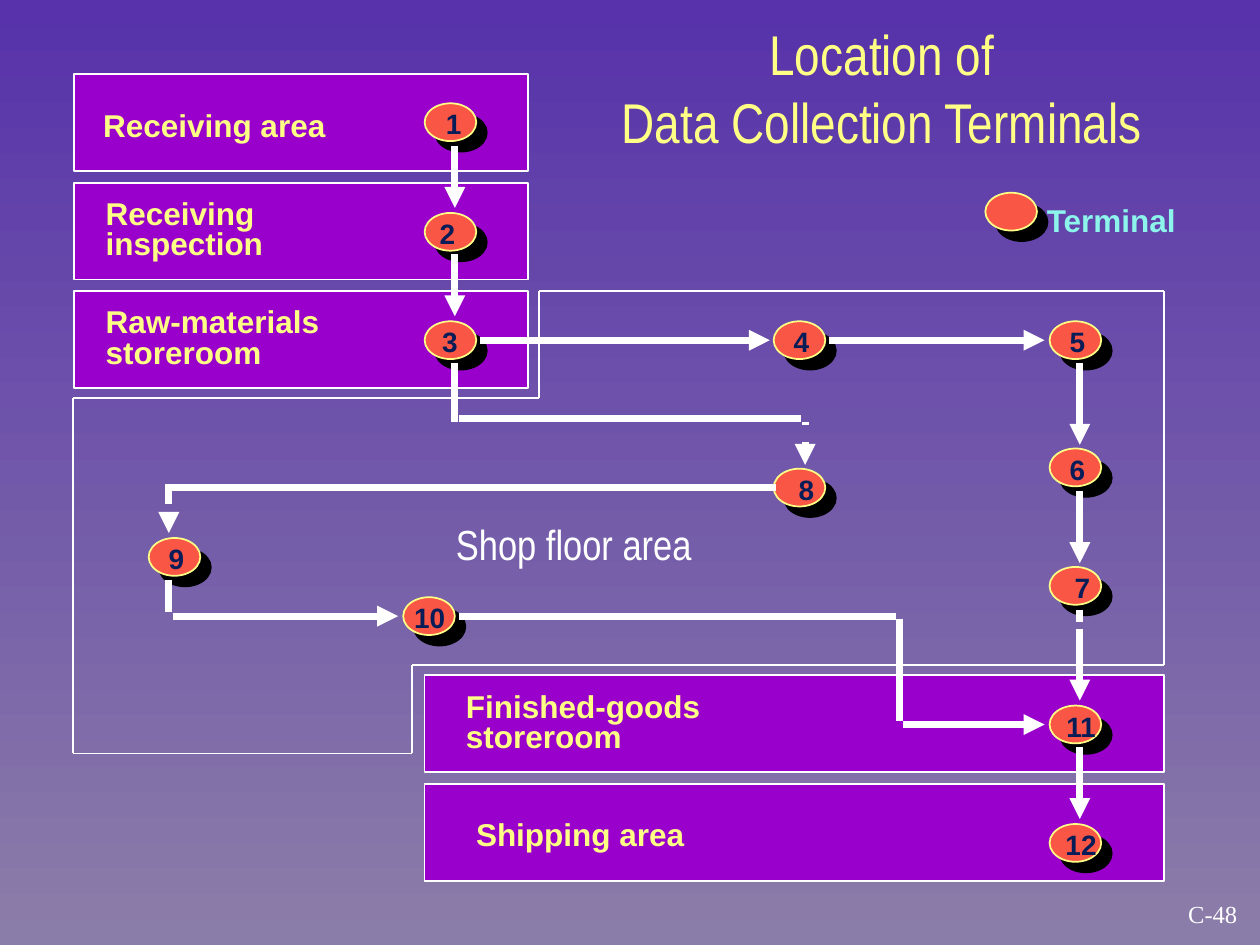
from dataclasses import dataclass
from itertools import pairwise

from lxml.etree import SubElement
from pptx import Presentation
from pptx.dml.color import RGBColor
from pptx.enum.shapes import MSO_CONNECTOR, MSO_SHAPE
from pptx.enum.text import MSO_ANCHOR, PP_ALIGN
from pptx.oxml.ns import qn
from pptx.util import Inches, Pt

WHITE, YELLOW, PURPLE, RED = "FFFFFF", "FFFF85", "9900CC", "F95645"
AREA_HEIGHT = 0.77
LABEL_PITCH = 0.24
TERMINAL_WIDTH, TERMINAL_HEIGHT = 0.41, 0.3
NUMBER_WIDTH = 0.6

HEADING = {"name": "Arial", "size": Pt(18), "bold": True}
NUMBER = {"name": "Arial", "size": Pt(16), "bold": True}
TITLE = {"name": "Arial Narrow", "size": Pt(32), "bold": False}
FLOOR = {"name": "Arial Narrow", "size": Pt(24), "bold": False}
PAGE = {"name": "Times New Roman", "size": Pt(14), "bold": False}


@dataclass
class Area:
    left: float
    top: float
    width: float
    lines: list[str]
    label_left: float
    label_top: float


@dataclass
class Terminal:
    number: str
    left: float
    top: float
    number_center: float


@dataclass
class Leg:
    start: tuple[float, float]
    end: tuple[float, float]
    arrow: bool = False


AREAS = [
    Area(0.59, 0.59, 3.6, ["Receiving area"], 0.72, 0.79),
    Area(0.59, 1.45, 3.6, ["Receiving", "inspection"], 0.74, 1.49),
    Area(0.59, 2.31, 3.6, ["Raw-materials", "storeroom"], 0.74, 2.35),
    Area(3.37, 5.36, 5.87, ["Finished-goods", "storeroom"], 3.6, 5.4),
    Area(3.37, 6.22, 5.87, ["Shipping area"], 3.68, 6.42),
]

FLOOR_CORNERS = [
    (0.58, 3.16), (4.28, 3.16), (4.28, 2.31), (9.24, 2.31),
    (9.24, 5.28), (3.27, 5.28), (3.27, 5.98), (0.58, 5.98),
]

TERMINALS = [
    Terminal("1", 3.37, 0.82, 3.6),
    Terminal("2", 3.37, 1.69, 3.55),
    Terminal("3", 3.37, 2.55, 3.57),
    Terminal("4", 6.14, 2.55, 6.36),
    Terminal("5", 8.33, 2.55, 8.55),
    Terminal("6", 8.33, 3.56, 8.55),
    Terminal("7", 8.33, 4.5, 8.59),
    Terminal("8", 6.14, 3.72, 6.4),
    Terminal("9", 1.18, 4.27, 1.4),
    Terminal("10", 3.2, 4.74, 3.41),
    Terminal("11", 8.33, 5.6, 8.58),
    Terminal("12", 8.33, 6.54, 8.58),
]

LEGS = [
    # Receiving and raw materials
    Leg((3.61, 1.16), (3.61, 1.65), True),
    Leg((3.61, 2.02), (3.61, 2.51), True),
    Leg((3.81, 2.7), (6.11, 2.7), True),
    Leg((6.58, 2.7), (8.29, 2.7), True),
    # Right-hand column
    Leg((8.57, 2.88), (8.57, 3.53), True),
    Leg((8.57, 3.9), (8.57, 4.47), True),
    Leg((8.57, 4.84), (8.57, 4.94)),
    Leg((8.57, 4.99), (8.57, 5.56), True),
    Leg((8.57, 5.93), (8.57, 6.5), True),
    # Terminal 3 to 8
    Leg((3.61, 2.88), (3.61, 3.35)),
    Leg((3.64, 3.32), (6.36, 3.32)),
    Leg((6.39, 3.35), (6.39, 3.37)),
    Leg((6.39, 3.51), (6.39, 3.69), True),
    # Terminal 8 to 9
    Leg((6.16, 3.87), (1.31, 3.87)),
    Leg((1.34, 3.9), (1.34, 4.0)),
    Leg((1.34, 4.13), (1.34, 4.23), True),
    # Terminal 9 to 10
    Leg((1.34, 4.6), (1.34, 4.86)),
    Leg((1.37, 4.89), (3.16, 4.89), True),
    # Terminal 10 to 11
    Leg((3.64, 4.89), (7.11, 4.89)),
    Leg((7.14, 4.91), (7.14, 5.72)),
    Leg((7.17, 5.75), (8.29, 5.75), True),
]


def color(value: str) -> RGBColor:
    return RGBColor.from_string(value)


def add_box(slide, kind, left: float, top: float, width: float, height: float,
            fill: str, line: str):
    shape = slide.shapes.add_shape(
        kind, Inches(left), Inches(top), Inches(width), Inches(height))
    shape.shadow.inherit = False
    shape.fill.solid()
    shape.fill.fore_color.rgb = color(fill)
    shape.line.color.rgb = color(line)
    shape.line.width = Pt(1)
    return shape


def add_text(slide, lines: list[str], left: float, top: float, width: float, height: float,
             font: dict, ink: str, align=PP_ALIGN.LEFT, anchor=MSO_ANCHOR.TOP) -> None:
    box = slide.shapes.add_textbox(Inches(left), Inches(top), Inches(width), Inches(height))
    frame = box.text_frame
    frame.word_wrap = True
    frame.vertical_anchor = anchor
    frame.text = "\n".join(lines)
    for paragraph in frame.paragraphs:
        paragraph.alignment = align
        for name, value in font.items():
            setattr(paragraph.font, name, value)
        paragraph.font.color.rgb = color(ink)


def add_line(slide, leg: Leg, width: float) -> None:
    points = [Inches(value) for value in (*leg.start, *leg.end)]
    connector = slide.shapes.add_connector(MSO_CONNECTOR.STRAIGHT, *points)
    connector.line.color.rgb = color(WHITE)
    connector.line.width = Pt(width)
    if leg.arrow:
        SubElement(connector.line._get_or_add_ln(), qn("a:tailEnd"), type="triangle")
    SubElement(connector._element.spPr, qn("a:effectLst"))


def add_marker(slide, left: float, top: float) -> None:
    marker = add_box(slide, MSO_SHAPE.OVAL, left, top, TERMINAL_WIDTH, TERMINAL_HEIGHT,
                     RED, YELLOW)
    effects = marker._element.spPr.find(qn("a:effectLst"))
    shadow = SubElement(effects, qn("a:outerShdw"), dist=str(Pt(8.5)),
                        dir=str(45 * 60000), algn="ctr", rotWithShape="0")
    SubElement(shadow, qn("a:srgbClr"), val="000000")


def add_area(slide, area: Area) -> None:
    add_box(slide, MSO_SHAPE.RECTANGLE, area.left, area.top, area.width, AREA_HEIGHT,
            PURPLE, WHITE)
    for index, line in enumerate(area.lines):
        add_text(slide, [line], area.label_left, area.label_top + index * LABEL_PITCH,
                 2.1, 0.4, HEADING, YELLOW)


def add_terminal(slide, terminal: Terminal) -> None:
    add_marker(slide, terminal.left, terminal.top)
    add_text(slide, [terminal.number], terminal.number_center - NUMBER_WIDTH / 2,
             terminal.top - 0.02, NUMBER_WIDTH, 0.36, NUMBER, "081D58", PP_ALIGN.CENTER)


def main() -> None:
    presentation = Presentation()
    presentation.slide_width, presentation.slide_height = Inches(10), Inches(7.5)
    slide = presentation.slides.add_slide(presentation.slide_layouts[6])

    # Background, dark at the top
    background = slide.background.fill
    background.gradient()
    background.gradient_angle = 270
    for stop, shade in zip(background.gradient_stops, ("5732AA", "8B7DA9")):
        stop.color.rgb = color(shade)

    # Areas and the outline of the shop floor
    for area in AREAS:
        add_area(slide, area)
    for start, end in pairwise(FLOOR_CORNERS + FLOOR_CORNERS[:1]):
        add_line(slide, Leg(start, end), 1)
    add_text(slide, ["Shop floor area"], 3.52, 4.07, 2.61, 0.5, FLOOR, WHITE)

    # Legend
    add_marker(slide, 7.82, 1.53)
    add_text(slide, ["Terminal"], 8.21, 1.55, 1.36, 0.4, HEADING, "8CF4EA")

    # Terminals and the flow between them
    for terminal in TERMINALS:
        add_terminal(slide, terminal)
    for leg in LEGS:
        add_line(slide, leg, 4)

    # Title and page number
    add_text(slide, ["Location of", "Data Collection Terminals"], 4.23, 0.11, 5.54, 1.16,
             TITLE, YELLOW, PP_ALIGN.CENTER)
    add_text(slide, ["C-48"], 9.02, 7.08, 1.21, 0.34, PAGE, WHITE,
             PP_ALIGN.CENTER, MSO_ANCHOR.MIDDLE)

    presentation.save("out.pptx")


if __name__ == "__main__":
    main()
